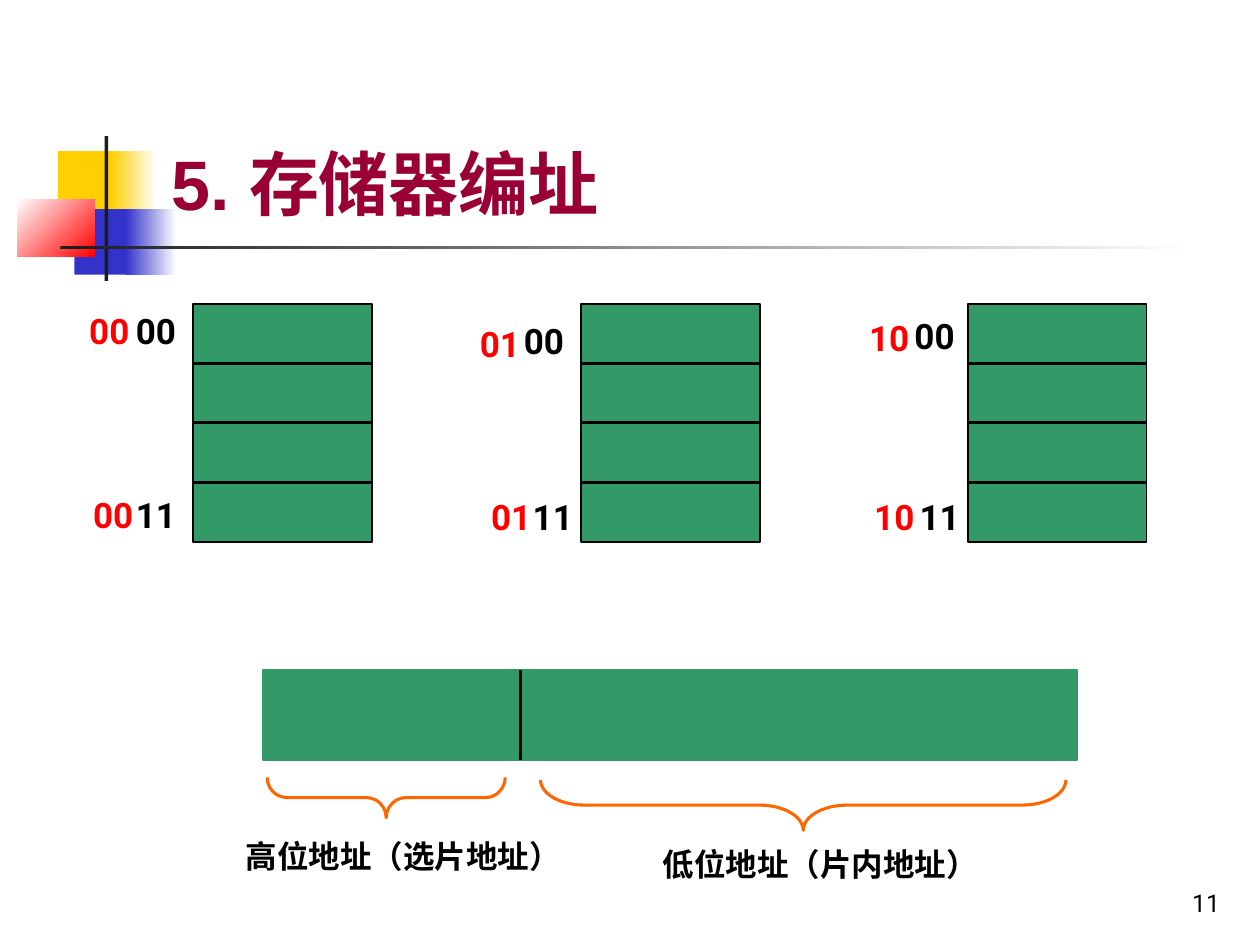
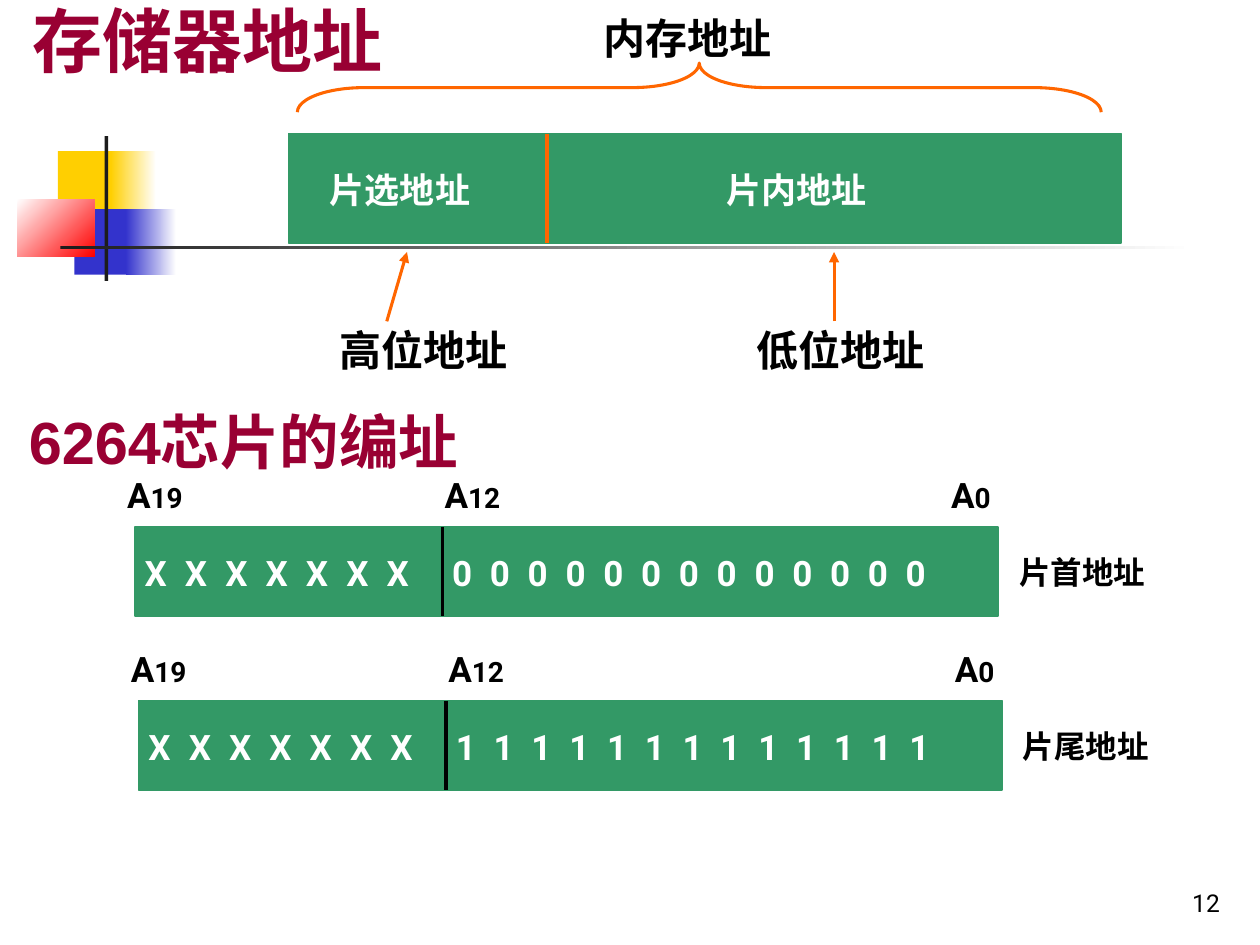
import pptx
import pptx.util
import pptx.dml.color
import pptx.enum.shapes
import pptx.enum.text
import pptx.oxml
import pptx.oxml.ns
from dataclasses import dataclass

Inches = pptx.util.Inches
SHAPE = pptx.enum.shapes.MSO_SHAPE
ALIGN = pptx.enum.text.PP_ALIGN
ANCHOR = pptx.enum.text.MSO_ANCHOR


@dataclass(frozen=True)
class Theme:
    heading_font: str = "Arial"
    body_font: str = "Roboto"
    heading: str = "990033"
    block: str = "339966"
    accent: str = "FF6600"
    high_bits: str = "FF0000"
    ink: str = "000000"
    paper: str = "FFFFFF"
    yellow: str = "FFCF01"
    blue: str = "3333CC"
    charcoal: str = "1C1C1C"
    title_size: int = 40
    subtitle_size: int = 34
    name_size: int = 24
    bit_size: int = 20
    caption_size: int = 18
    index_size: int = 16
    number_size: int = 14
    line: float = 1.75


THEME = Theme()

# Frames are (left, top, width, height) in inches.
# Decoration: frame, colour, gradient end colour or None, clockwise angle
DECORATION = [
    ((0.46, 1.2, 0.48, 0.52), THEME.yellow, None, 0),
    ((0.88, 1.2, 0.36, 0.52), THEME.yellow, THEME.paper, 0),
    ((0.59, 1.66, 0.46, 0.52), THEME.blue, None, 0),
    ((1, 1.66, 0.4, 0.52), THEME.blue, THEME.paper, 0),
    ((0.14, 1.58, 0.61, 0.46), THEME.paper, THEME.high_bits, 45),
    ((0.83, 1.08, 0.03, 1.15), THEME.charcoal, None, 0),
    ((0.48, 1.95, 9, 0.03), THEME.charcoal, THEME.paper, 0),
]
NUMBER_FRAME = (7.7, 6.83, 2.08, 0.5)

CODING = {"title": "5. 存储器编址", "frame": (1.26, 0.23, 8.52, 1.6), "number": "11"}
CHIP_LEFTS = [1.53, 4.61, 7.68]
CHIP_TOP, CHIP_WIDTH, CHIP_HEIGHT, CHIP_CELLS = 2.41, 1.42, 1.89, 4
# high bits and their place, low bits and their place
CELL_ADDRESSES = [
    ("00", (0.61, 2.41), "00", (0.98, 2.41)),
    ("00", (0.64, 3.87), "11", (0.98, 3.87)),
    ("01", (3.71, 2.51), "00", (4.06, 2.49)),
    ("01", (3.8, 3.88), "11", (4.13, 3.88)),
    ("10", (6.8, 2.46), "00", (7.16, 2.45)),
    ("10", (6.84, 3.88), "11", (7.2, 3.88)),
]
ADDRESS_BAR, ADDRESS_SPLIT = (2.09, 5.32, 6.46, 0.71), 4.13
# caption, its place, frame of its brace
ADDRESS_PARTS = [
    ("低位地址（片内地址）", (5.16, 6.66), (4.29, 6.19, 4.17, 0.4)),
    ("高位地址（选片地址）", (1.85, 6.59), (2.12, 6.17, 1.89, 0.32)),
]

MEMORY = {"title": "存储器地址", "frame": (0.16, 0.02, 5.4, 0.68), "number": "12"}
MEMORY_BAR, MEMORY_SPLIT = (2.29, 1.06, 6.61, 0.87), 4.34
MEMORY_NAME, MEMORY_BRACE = ("内存地址", (4.69, 0.05)), (2.36, 0.5, 6.38, 0.39)
# name in the bar, its place, name below, its place, arrow start x, arrow end x
MEMORY_PARTS = [
    ("片选地址", (2.52, 1.29), "高位地址", (2.6, 2.53), 3.07, 3.23),
    ("片内地址", (5.67, 1.29), "低位地址", (5.91, 2.53), 6.62, 6.62),
]
ARROW_START, ARROW_END = 2.55, 2.0
SUBTITLE, SUBTITLE_FRAME = "6264芯片的编址", (0.13, 3.11, 8.52, 0.72)
# name, bar left and top, low bit
CHIP_ENDS = [("片首地址", (1.07, 4.18), "0"), ("片尾地址", (1.1, 5.56), "1")]
CHIP_BAR_WIDTH, CHIP_BAR_HEIGHT, CHIP_SPLIT = 6.85, 0.71, 2.44
LINE_MARKS = [("19", -0.16), ("12", 2.36), ("0", 6.38)]
HIGH_COUNT, HIGH_PITCH, LOW_COUNT, LOW_PITCH = 7, 0.32, 13, 0.3


def rgb(colour):
    return pptx.dml.color.RGBColor.from_string(colour)


def lengths(values):
    return [Inches(value) for value in values]


def add_block(page, frame, colour, line=None, kind=SHAPE.RECTANGLE):
    shape = page.shapes.add_shape(kind, *lengths(frame))
    shape.shadow.inherit = False
    if colour:
        shape.fill.solid()
        shape.fill.fore_color.rgb = rgb(colour)
    else:
        shape.fill.background()
    if line:
        shape.line.color.rgb = rgb(line)
        shape.line.width = pptx.util.Pt(1)
    else:
        shape.line.fill.background()
    return shape


def add_line(page, start, end, colour=THEME.ink, width=THEME.line, arrow=False):
    line = page.shapes.add_connector(
        pptx.enum.shapes.MSO_CONNECTOR.STRAIGHT, *lengths(start + end))
    line.line.color.rgb = rgb(colour)
    line.line.width = pptx.util.Pt(width)
    if arrow:
        head = pptx.oxml.parse_xml(
            f'<a:tailEnd {pptx.oxml.ns.nsdecls("a")} type="triangle"/>')
        line.line._get_or_add_ln().append(head)
    line.element.spPr.append(
        pptx.oxml.parse_xml(f'<a:effectLst {pptx.oxml.ns.nsdecls("a")}/>'))
    return line


def add_split_bar(page, frame, split, colour=THEME.ink, width=THEME.line):
    left, top, _, height = frame
    add_block(page, frame, THEME.block, THEME.block)
    add_line(page, (split, top), (split, top + height), colour, width)


def add_brace(page, frame, rotation):
    """Draw a brace covering frame: rotation 90 points down, 270 points up."""
    left, top, length, depth = frame
    middle_x, middle_y = left + length / 2, top + depth / 2
    upright = (middle_x - depth / 2, middle_y - length / 2, depth, length)
    brace = add_block(page, upright, None, THEME.accent, SHAPE.RIGHT_BRACE)
    brace.line.width = pptx.util.Pt(THEME.line)
    brace.rotation = rotation
    brace.adjustments[0] = length / 12 / depth


def write(box, spans, colour, font, bold=True, align=ALIGN.LEFT, anchor=ANCHOR.TOP):
    """Fill a box with one paragraph of (text, size) spans."""
    frame = box.text_frame
    frame.word_wrap = True
    frame.auto_size = pptx.enum.text.MSO_AUTO_SIZE.NONE
    frame.vertical_anchor = anchor
    para = frame.paragraphs[0]
    para.alignment = align
    for text, size in spans:
        span = para.add_run()
        span.text = text
        span.font.name = font
        span.font.size = pptx.util.Pt(size)
        span.font.bold = bold
        span.font.color.rgb = rgb(colour)
    return para


def add_label(page, frame, spans, colour=THEME.ink, font=THEME.body_font, **style):
    box = page.shapes.add_textbox(*lengths(frame))
    return write(box, spans, colour, font, **style)


def add_bits(page, place, bit, count, pitch):
    para = add_label(page, (*place, count * pitch + 0.3, 0.44),
                     [("\t".join(bit * count), THEME.bit_size)], THEME.paper)
    stops = "".join(f'<a:tab pos="{Inches(pitch * step)}" algn="l"/>'
                    for step in range(1, count))
    para._p.get_or_add_pPr().append(pptx.oxml.parse_xml(
        f'<a:tabLst {pptx.oxml.ns.nsdecls("a")}>{stops}</a:tabLst>'))


def decorate_layout(page):
    """Draw the corner squares and rules, then move them to the layout."""
    tree = page.slide_layout.shapes.element
    for index, (frame, colour, end, angle) in enumerate(DECORATION):
        shape = add_block(page, frame, colour)
        if end:
            shape.fill.gradient()
            shape.fill.gradient_angle = (360 - angle) % 360
            for stop, tone in zip(shape.fill.gradient_stops, (colour, end)):
                stop.color.rgb = rgb(tone)
        tree.insert(2 + index, shape.element)


def add_page(deck, content):
    page = deck.slides.add_slide(deck.slide_layouts[5])
    if len(deck.slides) == 1:
        decorate_layout(page)
    title = page.shapes.title
    title.left, title.top, title.width, title.height = lengths(content["frame"])
    write(title, [(content["title"], THEME.title_size)], THEME.heading,
          THEME.heading_font, anchor=ANCHOR.BOTTOM)
    add_label(page, NUMBER_FRAME, [(content["number"], THEME.number_size)],
              bold=False, align=ALIGN.RIGHT, anchor=ANCHOR.BOTTOM)
    return page


def add_chip(page, left):
    chip = add_block(page, (left, CHIP_TOP, CHIP_WIDTH, CHIP_HEIGHT),
                     THEME.block, THEME.ink)
    for cell in range(1, CHIP_CELLS):
        height = CHIP_TOP + CHIP_HEIGHT * cell / CHIP_CELLS
        line = add_line(page, (left, height), (left + CHIP_WIDTH, height))
        if cell * 2 == CHIP_CELLS:
            line.begin_connect(chip, 1)
            line.end_connect(chip, 3)


def build_coding(deck):
    page = add_page(deck, CODING)
    add_split_bar(page, ADDRESS_BAR, ADDRESS_SPLIT)
    for left in CHIP_LEFTS:
        add_chip(page, left)
    for high, high_place, low, low_place in CELL_ADDRESSES:
        add_label(page, (*low_place, 0.63, 0.44), [(low, THEME.bit_size)])
        add_label(page, (*high_place, 0.63, 0.44), [(high, THEME.bit_size)],
                  THEME.high_bits)
    for caption, place, brace in ADDRESS_PARTS:
        add_brace(page, brace, 90)
        add_label(page, (*place, 2.91, 0.4), [(caption, THEME.caption_size)])


def add_chip_end(page, name, corner, bit):
    left, top = corner
    add_split_bar(page, (left, top, CHIP_BAR_WIDTH, CHIP_BAR_HEIGHT),
                  left + CHIP_SPLIT)
    add_label(page, (left + 6.92, top + 0.16, 1.26, 0.4),
              [(name, THEME.caption_size)])
    for index, offset in LINE_MARKS:
        add_label(page, (left + offset, top - 0.47, 0.79, 0.44),
                  [("A", THEME.bit_size), (index, THEME.index_size)])
    add_bits(page, (left - 0.02, top + 0.15), "X", HIGH_COUNT, HIGH_PITCH)
    add_bits(page, (left + 2.42, top + 0.15), bit, LOW_COUNT, LOW_PITCH)


def build_memory(deck):
    page = add_page(deck, MEMORY)
    add_split_bar(page, MEMORY_BAR, MEMORY_SPLIT, THEME.accent, 2)
    add_brace(page, MEMORY_BRACE, 270)
    name, place = MEMORY_NAME
    add_label(page, (*place, 1.81, 0.5), [(name, THEME.name_size)])
    for inner, inner_place, outer, outer_place, start, end in MEMORY_PARTS:
        add_label(page, (*inner_place, 1.5, 0.44), [(inner, THEME.bit_size)],
                  THEME.paper)
        add_label(page, (*outer_place, 1.9, 0.5), [(outer, THEME.name_size)])
        add_line(page, (start, ARROW_START), (end, ARROW_END), THEME.accent,
                 arrow=True)
    add_label(page, SUBTITLE_FRAME, [(SUBTITLE, THEME.subtitle_size)],
              THEME.heading, THEME.heading_font, anchor=ANCHOR.BOTTOM)
    for name, corner, bit in CHIP_ENDS:
        add_chip_end(page, name, corner, bit)


def main():
    deck = pptx.Presentation()
    deck.slide_width, deck.slide_height = lengths((10, 7.5))
    build_coding(deck)
    build_memory(deck)
    deck.save("out.pptx")


if __name__ == "__main__":
    main()
